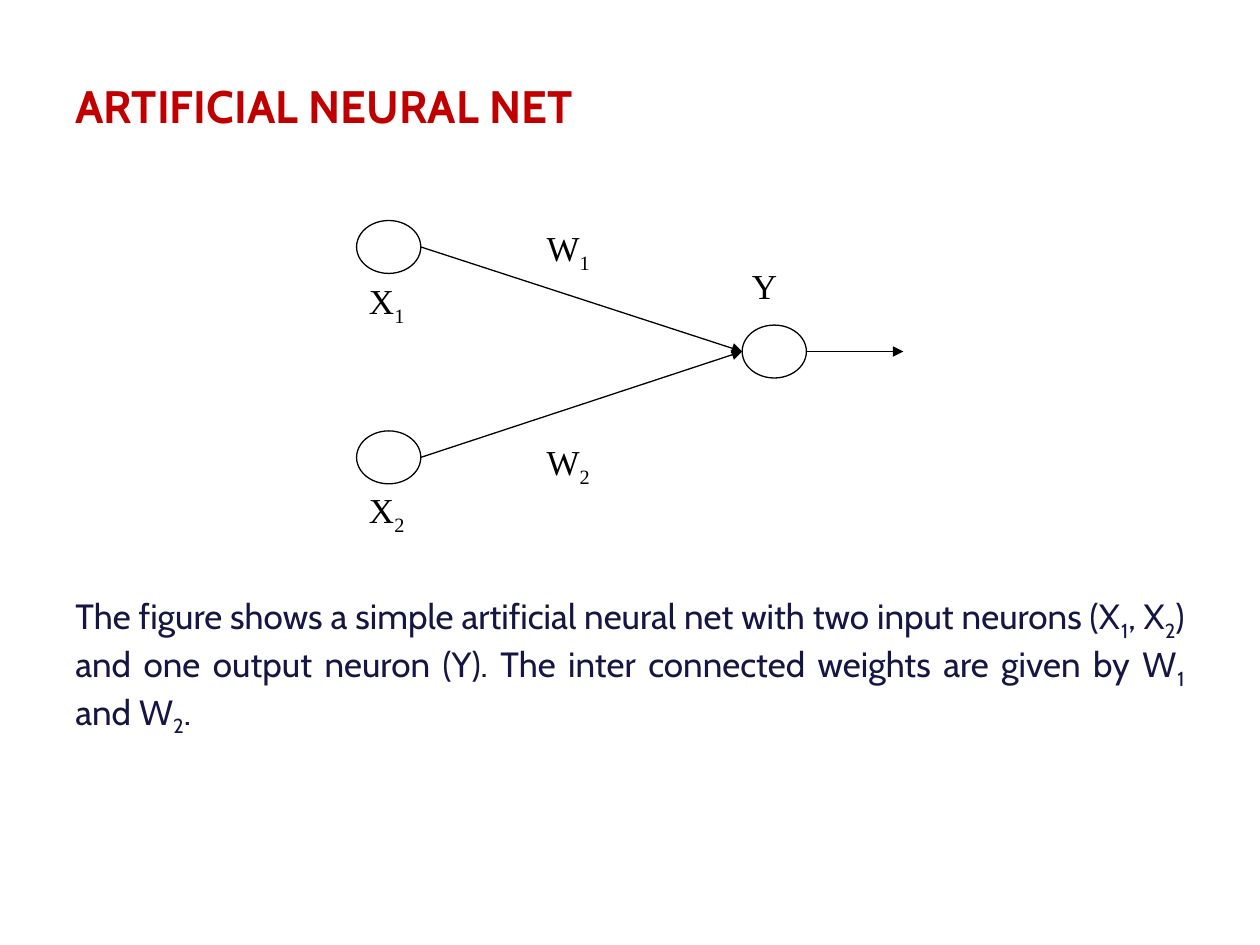
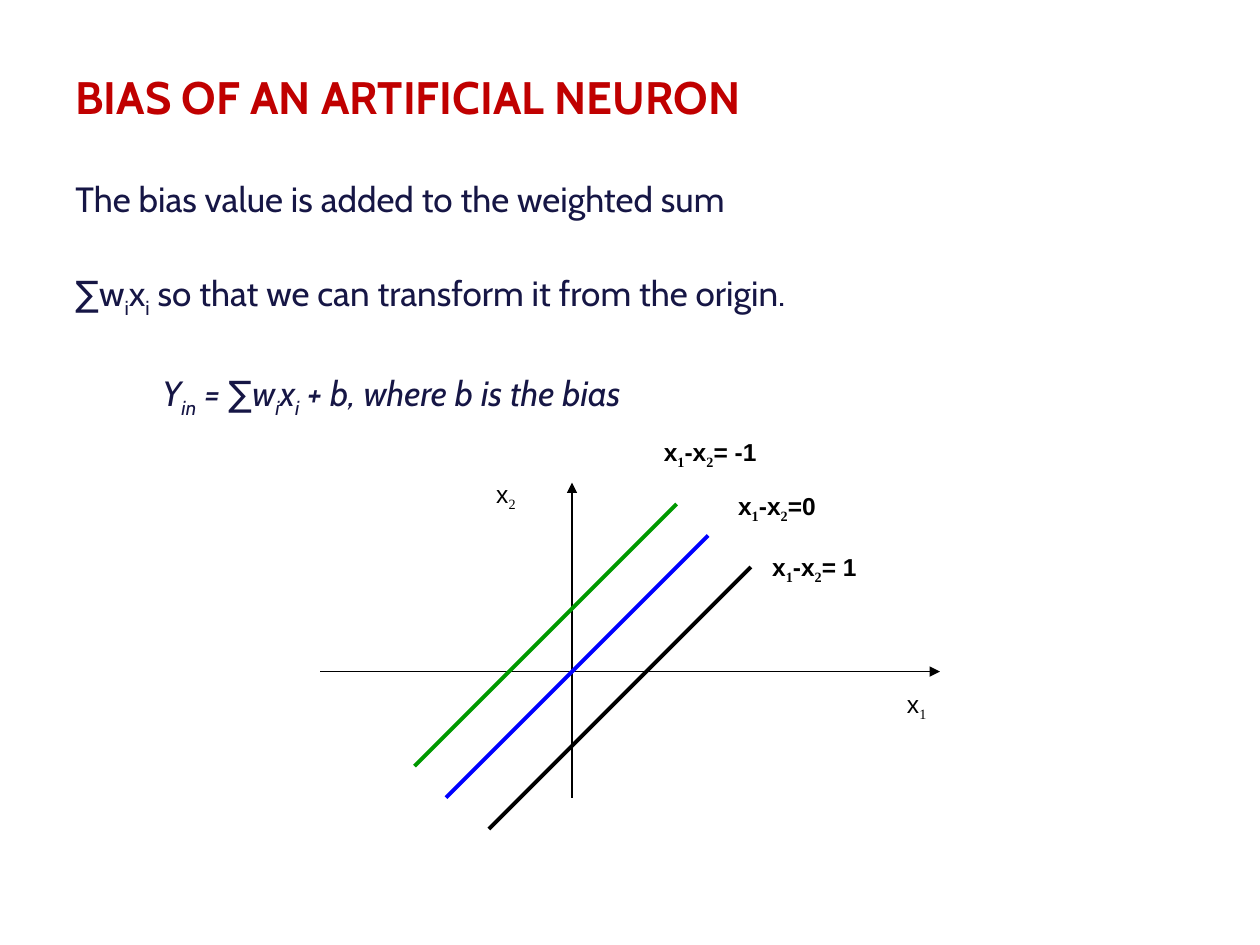
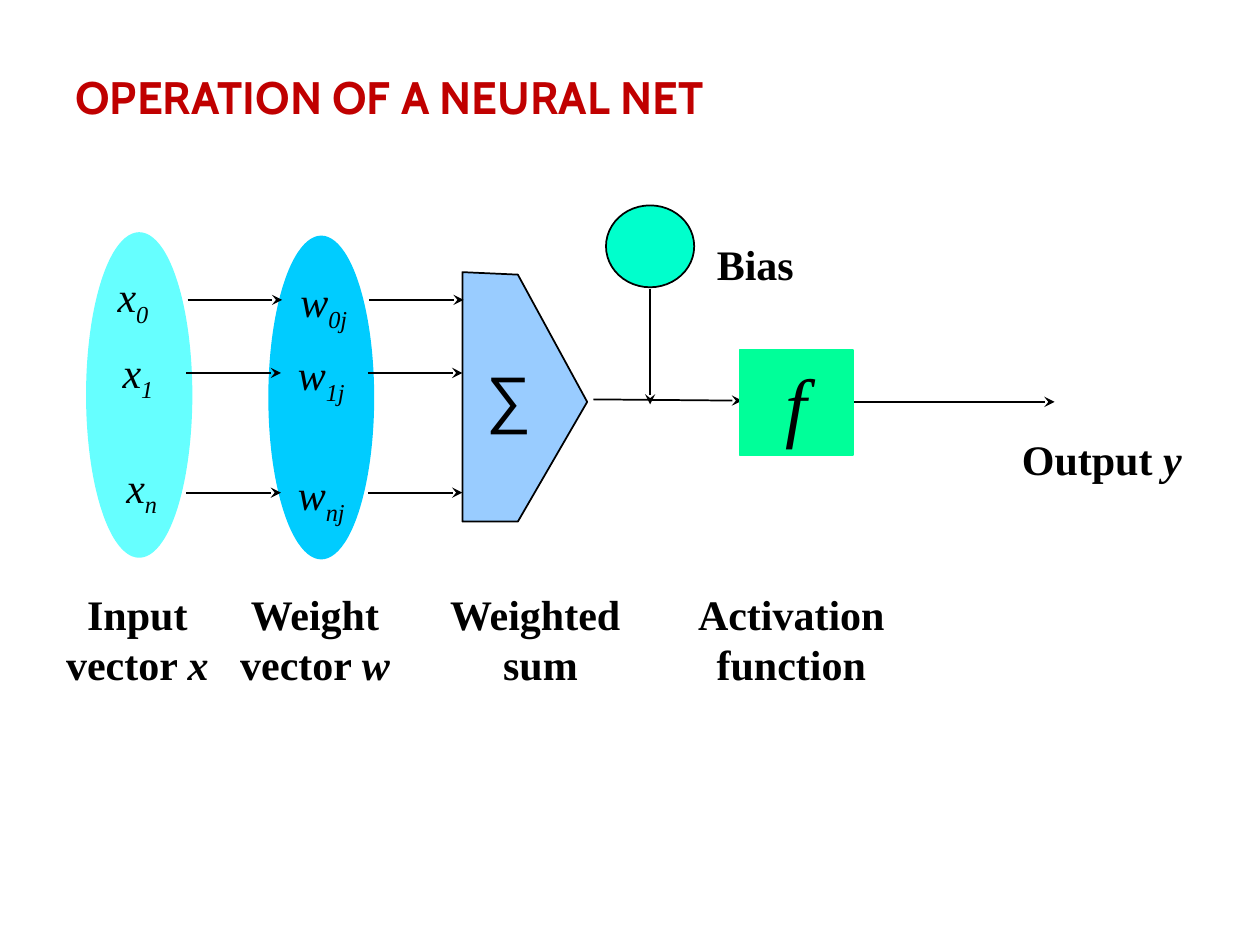
from dataclasses import dataclass

from lxml.etree import SubElement
from pptx import Presentation
from pptx.dml.color import RGBColor
from pptx.enum.shapes import MSO_CONNECTOR, MSO_SHAPE
from pptx.enum.text import MSO_ANCHOR, PP_ALIGN
from pptx.oxml.ns import qn
from pptx.util import Inches, Pt


@dataclass(frozen=True)
class Theme:
    red: str = "C00000"
    navy: str = "161645"
    black: str = "000000"
    white: str = "FFFFFF"
    green: str = "009900"
    blue: str = "0000FF"
    aqua: str = "66FFFF"
    sky: str = "00CCFF"
    pale: str = "99CCFF"
    teal: str = "00FFCC"
    mint: str = "00FF99"
    sans: str = "Cabin"
    serif: str = "Times New Roman"
    plain: str = "Arial"
    title: int = 26
    body: int = 20
    note: int = 14
    label: int = 24
    sigma: int = 36
    big: int = 44
    thin: float = 0.75
    edge: float = 1
    thick: float = 2.25


look = Theme()
deck = Presentation()
deck.slide_width, deck.slide_height = Inches(10), Inches(7.5)
cell = deck.slide_width // 1000  # square grid, 1000 columns by 750 rows
left, span = 50, 900  # margin and width of the text column


def write(page, spot, text, size=look.label, font=look.serif, small=None,
          color=look.black, bold=False, align=PP_ALIGN.LEFT, wrap=True,
          before=0, after=0, lead=None):
    """Write text on a shape or in a new box: *italic*, _subscript_."""
    if isinstance(spot, tuple):
        spot = page.shapes.add_textbox(*[n * cell for n in spot])
    frame = spot.text_frame
    frame.word_wrap = wrap
    frame.vertical_anchor = MSO_ANCHOR.TOP
    for row, line in enumerate(text.split("\n")):
        para = frame.add_paragraph() if row else frame.paragraphs[0]
        para.alignment = align
        para.space_before, para.space_after = Pt(before), Pt(after)
        para.line_spacing = lead
        for i, part in enumerate(line.split("*")):
            for j, bit in enumerate(part.split("_")):
                if not bit:
                    continue
                run = para.add_run()
                run.text = bit
                face = run.font
                face.size, face.bold, face.italic = Pt(size), bold, i % 2 == 1
                face.name = small if small and j % 2 else font
                face.color.rgb = RGBColor.from_string(color)
                if j % 2:
                    face._element.set("baseline", "-25000")
    return frame


def draw(page, kind, spot, fill=None, line=look.black, width=look.edge, head=None):
    """Draw a line, a closed outline or a preset shape on the grid."""
    if kind == "line":
        item = page.shapes.add_connector(
            MSO_CONNECTOR.STRAIGHT, *[n * cell for n in spot])
    elif kind == "outline":
        path = page.shapes.build_freeform(*spot[0], scale=cell)
        path.add_line_segments(spot[1:], close=True)
        item = path.convert_to_shape()
    else:
        item = page.shapes.add_shape(kind, *[n * cell for n in spot])
    if fill:
        item.fill.solid()
        item.fill.fore_color.rgb = RGBColor.from_string(fill)
    if line:
        item.line.color.rgb = RGBColor.from_string(line)
        item.line.width = Pt(width)
    else:
        item.line.fill.background()
    if head:
        SubElement(item.line._get_or_add_ln(), qn("a:tailEnd"), type=head)
    SubElement(item._element.spPr, qn("a:effectLst"))
    return item


# Pages with their titles
pages = []
for name, top in (("ARTIFICIAL NEURAL NET", 57),
                  ("BIAS OF AN ARTIFICIAL NEURON", 50),
                  ("OPERATION OF A NEURAL NET", 50)):
    page = deck.slides.add_slide(deck.slide_layouts[6])
    write(page, (left, top, span, 54), name, size=look.title, font=look.sans,
          color=look.red, bold=True)
    pages.append(page)
net, bias, flow = pages
prose = dict(size=look.body, font=look.sans, color=look.navy)

# Net: neurons, links and labels
wide, high = 51, 42
in_x, out_x, out_y = 283, 589, 258
mid = out_y + high // 2
for x, y in ((in_x, 175), (in_x, 342), (out_x, out_y)):
    draw(net, MSO_SHAPE.OVAL, (x, y, wide, high), look.white, width=look.thin)
    ends = (x + wide, y + high // 2)
    ends += (717, mid) if x == out_x else (out_x, mid)
    draw(net, "line", ends, width=look.thin, head="triangle")
for x, y, text in ((in_x, 217, "X_1_"), (in_x, 383, "X_2_"),
                   (424, 175, "W_1_"), (424, 345, "W_2_"), (587, 205, "Y")):
    write(net, (x, y, 100, high), text, size=look.body)

write(net, (left, 467, span, 119),
      "The figure shows a simple artificial neural net with two input neurons "
      "(X_1_, X_2_) and one output neuron (Y). The inter connected weights are "
      "given by W_1_ and W_2_.",
      align=PP_ALIGN.JUSTIFY, before=12.5, **prose)

# Bias: statement and formula
frame = write(bias, (left, 133, span, 250),
              "The bias value is added to the weighted sum\n"
              "∑w_i_x_i_ so that we can transform it from the origin.\n"
              "*Y_in_ = ∑w_i_x_i_ + b, where b is the bias*",
              after=27, lead=1.1, **prose)
frame.paragraphs[-1]._p.get_or_add_pPr().set("marL", str(69 * cell))

# Bias: axes and three parallel lines
for ends in ((254, 533, 746, 533), (454, 633, 454, 383)):
    draw(bias, "line", ends, width=look.thin, head="triangle")
run_by = 208
for x, y, hue in ((537, 400, look.green), (562, 425, look.blue),
                  (596, 450, look.black)):
    draw(bias, "line", (x, y, x - run_by, y + run_by), line=hue, width=look.thick)
for x, y, text, bold in ((517, 342, "x_1_-x_2_= -1", True),
                         (576, 385, "x_1_-x_2_=0", True),
                         (603, 433, "x_1_-x_2_= 1", True),
                         (710, 542, "x_1_", False),
                         (384, 375, "x_2_", False)):
    write(bias, (x, y, 120, 37), text, size=look.note, font=look.plain,
          small=look.serif, bold=bold)

# Flow: vectors, sum, bias and activation
draw(flow, MSO_SHAPE.OVAL, (213, 187, 84, 257), look.sky, line=None)
draw(flow, MSO_SHAPE.OVAL, (69, 185, 83, 257), look.aqua, line=look.aqua)
draw(flow, MSO_SHAPE.OVAL, (481, 163, 70, 65), look.teal)
draw(flow, "outline", [(367, 216), (367, 414), (411, 414), (466, 319), (411, 218)],
     look.pale)
draw(flow, "line", (471, 317, 589, 318), head="stealth")
gate = draw(flow, MSO_SHAPE.RECTANGLE, (587, 278, 90, 83), look.mint, line=look.mint)
draw(flow, "line", (678, 319, 837, 319), head="stealth")
draw(flow, "line", (516, 229, 516, 321), head="stealth")

# Flow: one row per input, with its weight and arrows
centre = dict(align=PP_ALIGN.CENTER, wrap=False)
write(flow, gate, "*f*", size=look.big, **centre)
write(flow, (376, 280, 55, 70), "∑", size=look.sigma, font=look.plain, **centre)
for sign, y, x, top, shift in (("0", 238, 83, 210, 2), ("1", 296, 87, 270, 0),
                               ("n", 391, 90, 361, 0)):
    write(flow, (x, top, 45, 56), f"*x_{sign}_*", **centre)
    write(flow, (226 + shift, y - 24, 58, 56), f"*w_{sign}j_*", **centre)
    for start in (148, 292):
        tail = start + shift // 2
        draw(flow, "line", (tail, y, tail + 75, y), head="stealth")

# Flow: captions
for x, y, w, text in ((42, 462, 134, "Input\nvector *x*"),
                      (180, 462, 140, "Weight\nvector *w*"),
                      (346, 462, 166, "Weighted \nsum"),
                      (544, 462, 168, "Activation\nfunction"),
                      (801, 339, 147, "Output *y*"),
                      (559, 184, 81, "Bias")):
    write(flow, (x, y, w, 50), text, bold=True, **centre)

deck.save("out.pptx")
